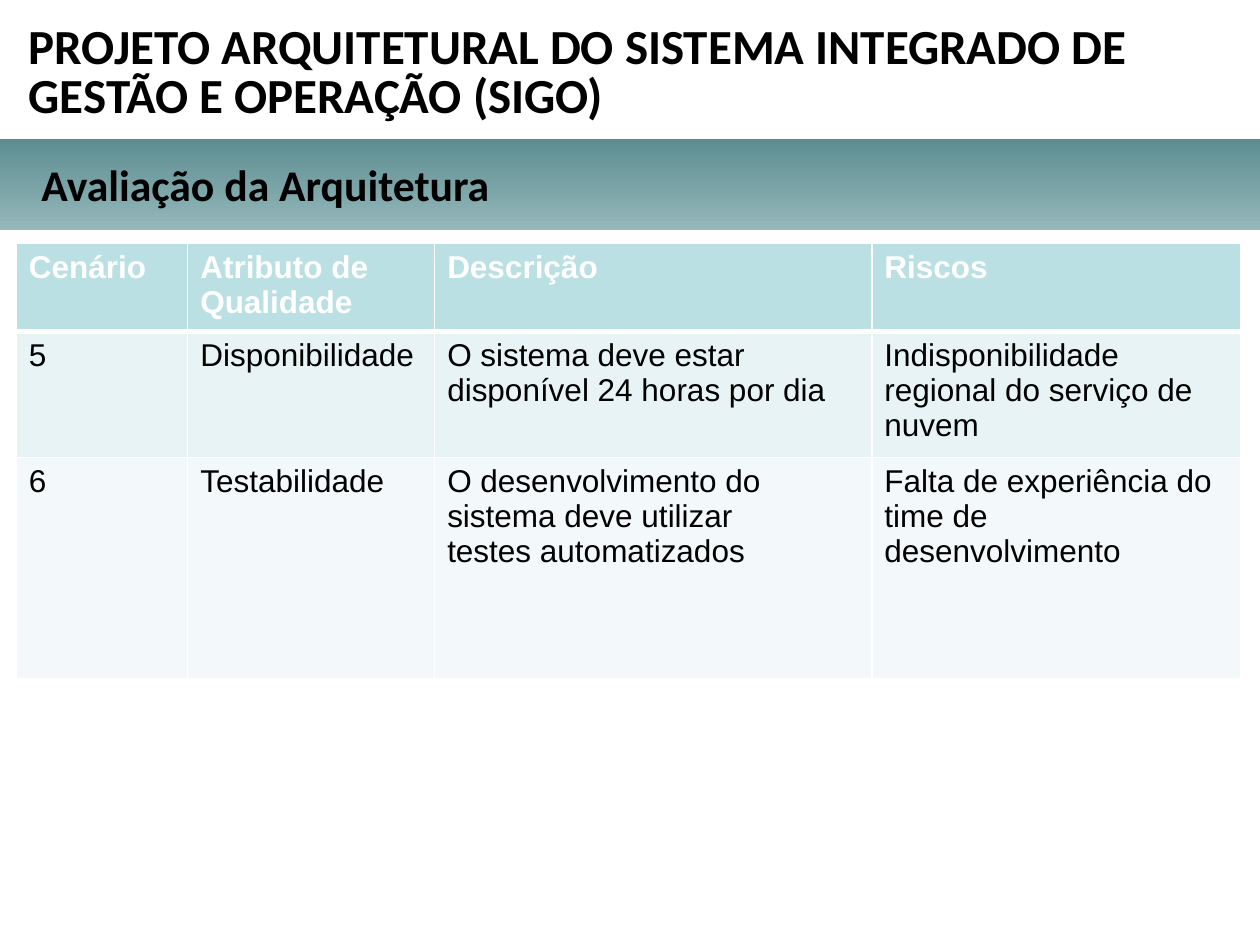
from lxml.etree import SubElement
from pptx import Presentation
from pptx.dml.color import RGBColor
from pptx.enum.shapes import MSO_SHAPE
from pptx.enum.text import MSO_AUTO_SIZE
from pptx.oxml.ns import qn
from pptx.util import Inches, Pt


def rgb(value):
    return RGBColor.from_string(value)


def write(tf, text, size=18, font="Arial", color="000000", bold=False, spacing=None):
    tf.word_wrap = True
    for i, line in enumerate(text.split("\n")):
        p = tf.paragraphs[0] if i == 0 else tf.add_paragraph()
        p.line_spacing = spacing
        r = p.add_run()
        r.text = line
        r.font.size, r.font.name, r.font.bold = Pt(size), font, bold
        r.font.color.rgb = rgb(color)


prs = Presentation()
prs.slide_width, prs.slide_height = Inches(10), Inches(7.5)
s = prs.slides.add_slide(prs.slide_layouts[6])

# Gradient band, light at the bottom
band = s.shapes.add_shape(MSO_SHAPE.RECTANGLE, 0, Inches(1.1), prs.slide_width, Inches(0.73))
band.shadow.inherit = False
band.line.fill.background()
band.fill.gradient()
band.fill.gradient_angle = 90
for stop, position, color in zip(band.fill.gradient_stops, (0, 1), ("95B8BB", "5D8D91")):
    stop.position = position
    stop.color.rgb = rgb(color)

# Section heading and slide title
headings = [
    ("Avaliação da Arquitetura", 0.23, 1.2, 9.55, 0.52, 25, None),
    ("PROJETO ARQUITETURAL DO SISTEMA INTEGRADO DE GESTÃO E OPERAÇÃO (SIGO)",
     0.13, 0.15, 9.65, 0.89, 28, Pt(28)),
]
for text, left, top, width, height, size, spacing in headings:
    sp = s.shapes.add_textbox(Inches(left), Inches(top), Inches(width), Inches(height))
    write(sp.text_frame, text, size=size, font="Calibri", bold=True, spacing=spacing)
    sp.text_frame.auto_size = MSO_AUTO_SIZE.SHAPE_TO_FIT_TEXT

# Scenario table
rows = [
    ("Cenário", "Atributo de Qualidade", "Descrição", "Riscos"),
    ("5", "Disponibilidade", "O sistema deve estar disponível 24 horas por dia",
     "Indisponibilidade regional do serviço de nuvem"),
    ("6", "Testabilidade", "O desenvolvimento do sistema deve utilizar\ntestes automatizados",
     "Falta de experiência do time de\ndesenvolvimento"),
]
col_widths = (1.36, 1.96, 3.47, 2.93)
row_heights = (0.69, 1.0, 1.76)
row_fills = ("BBE0E3", "E7F3F4", "F3F9FA")
table = s.shapes.add_table(len(rows), len(col_widths), Inches(0.13), Inches(1.93),
                           Inches(sum(col_widths)), Inches(sum(row_heights))).table
for col, width in zip(table.columns, col_widths):
    col.width = Inches(width)

for i, (texts, height, fill) in enumerate(zip(rows, row_heights, row_fills)):
    table.rows[i].height = Inches(height)
    header = i == 0
    for j, text in enumerate(texts):
        cell = table.cell(i, j)
        write(cell.text_frame, text, color="FFFFFF" if header else "000000", bold=header)
        # White borders, thicker where the header meets the body
        tcPr = cell._tc.get_or_add_tcPr()
        for side in ("lnL", "lnR", "lnT", "lnB"):
            thick = (i, side) in ((0, "lnB"), (1, "lnT"))
            ln = SubElement(tcPr, qn(f"a:{side}"), w=str(Pt(3 if thick else 1)))
            SubElement(SubElement(ln, qn("a:solidFill")), qn("a:srgbClr"), val="FFFFFF")
        cell.fill.solid()
        cell.fill.fore_color.rgb = rgb(fill)

prs.save("out.pptx")
